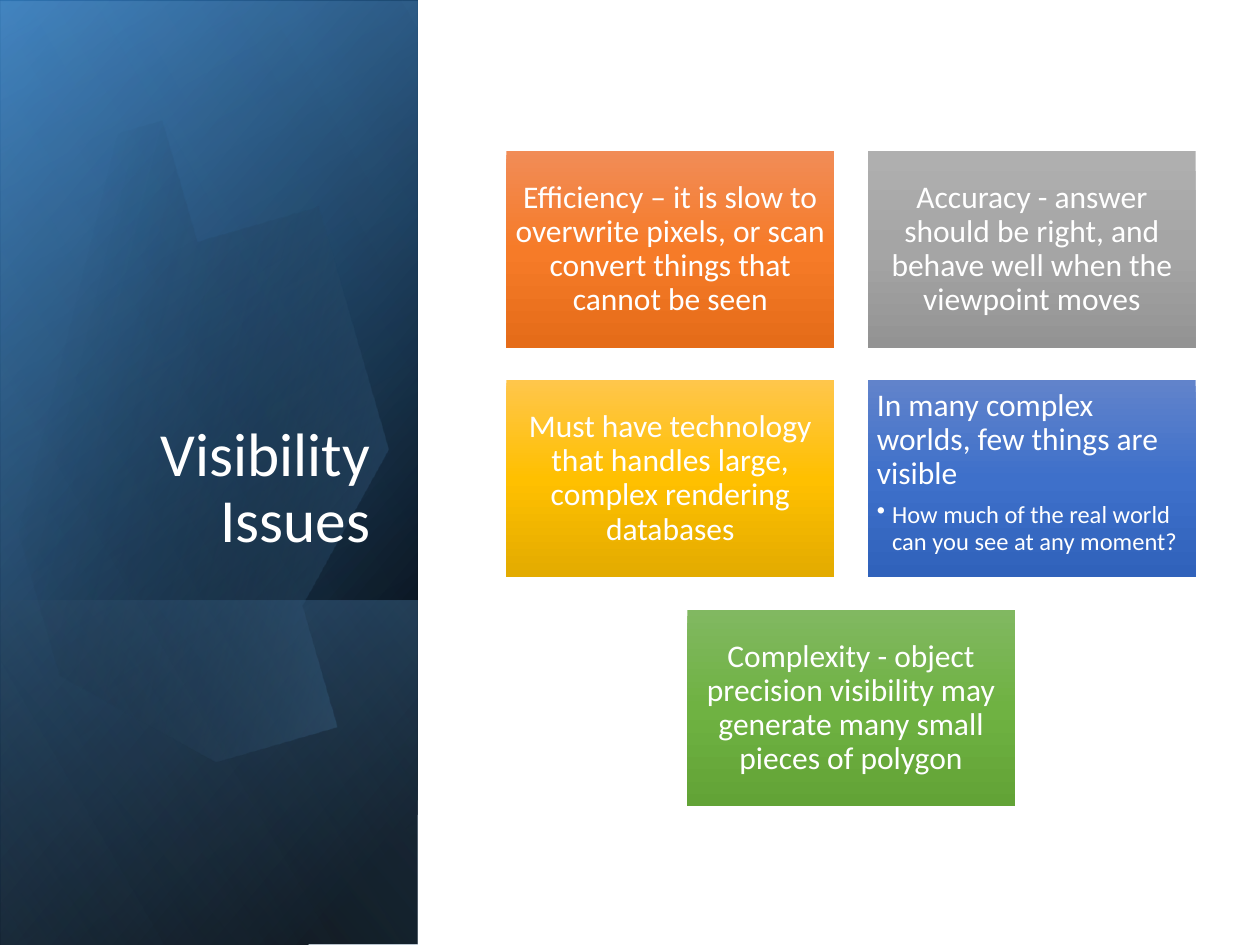
import math
from lxml import etree
from pptx import Presentation
from pptx.dml.color import RGBColor
from pptx.enum.shapes import MSO_SHAPE
from pptx.enum.text import MSO_ANCHOR, MSO_AUTO_SIZE, PP_ALIGN
from pptx.oxml.ns import qn
from pptx.util import Inches, Pt

RECTANGLE = MSO_SHAPE.RECTANGLE
TOP, MIDDLE, BOTTOM = MSO_ANCHOR.TOP, MSO_ANCHOR.MIDDLE, MSO_ANCHOR.BOTTOM
LEFT, CENTER, RIGHT = PP_ALIGN.LEFT, PP_ALIGN.CENTER, PP_ALIGN.RIGHT


def paint(shape, stops, angle):
    """Gradient from (position %, hex colour, opacity %) stops, without outline or shadow."""
    shape.shadow.inherit = False
    shape.line.fill.background()
    shape.fill.gradient()
    gradient = shape._element.spPr.find(qn("a:gradFill"))
    gradient.find(qn("a:lin")).set("ang", str(angle * 60000))
    stop_list = gradient.find(qn("a:gsLst"))
    for old_stop in list(stop_list):
        stop_list.remove(old_stop)
    for position, color, opacity in stops:
        stop = etree.SubElement(stop_list, qn("a:gs"), pos=str(position * 1000))
        tone = etree.SubElement(stop, qn("a:srgbClr"), val=color)
        if opacity < 100:
            etree.SubElement(tone, qn("a:alpha"), val=str(opacity * 1000))


def write(paragraph, text, size, align, space_after=0):
    paragraph.alignment = align
    paragraph.line_spacing = 0.9
    paragraph.space_before = Pt(0)
    paragraph.space_after = Pt(space_after)
    run = paragraph.add_run()
    run.text = text
    run.font.size = Pt(size)
    run.font.name = "Calibri"
    run.font.color.rgb = RGBColor.from_string("FFFFFF")


prs = Presentation()
prs.slide_width, prs.slide_height = Inches(10), Inches(7.5)
slide = prs.slides.add_slide(prs.slide_layouts[5])
shapes = slide.shapes

# Left panel: layered gradients, each turned a quarter and mirrored
FULL_PANEL = (-2.09, 2.09, 7.5, 3.31)
panel_layers = [
    (FULL_PANEL, [(8, "000000", 100), (100, "2E75B6", 100)], 50),
    ((-2.09, 2.11, 7.5, 3.31), [(0, "000000", 0), (99, "5B9BD5", 46)], 30),
    ((0.29, 4.48, 2.74, 3.31), [(2, "5B9BD5", 29), (100, "000000", 30)], 130),
    (FULL_PANEL, [(0, "000000", 0), (99, "9DC3E6", 11)], 120),
]
for place, stops, angle in panel_layers:
    layer = shapes.add_shape(RECTANGLE, *map(Inches, place))
    layer.rotation = 90
    layer._element.spPr.xfrm.set("flipH", "1")
    paint(layer, stops, angle)

# Tilted oval: Bezier pieces (two controls and an end; a straight side has only an end)
TILT = 343.9
CENTER_X, CENTER_Y = 1.19, 3.345
STEPS = 24
outline = [(0.96, 1.14)]
oval_pieces = [
    [(1.71, 1.22), (2.44, 1.92), (2.73, 2.9)],
    [(3.07, 4.12), (2.62, 5.31), (1.71, 5.57)],
    [(1.14, 5.74), (0.53, 5.5), (0.07, 5)],
    [(-0.03, 4.88)],
    [(-0.25, 1.66)],
    [(-0.15, 1.54)],
    [(0.02, 1.37), (0.22, 1.25), (0.45, 1.18)],
    [(0.62, 1.13), (0.79, 1.12), (0.96, 1.14)],
]
for piece in oval_pieces:
    if len(piece) == 1:
        outline += piece
        continue
    controls = [outline[-1]] + piece
    for step in range(1, STEPS + 1):
        t = step / STEPS
        weights = [math.comb(3, i) * t**i * (1 - t) ** (3 - i) for i in range(4)]
        outline.append(tuple(sum(w * c[axis] for w, c in zip(weights, controls))
                             for axis in (0, 1)))

# The outline is turned back here, and the tilt is then set on the shape
cosine, sine = math.cos(math.radians(-TILT)), math.sin(math.radians(-TILT))
upright = [(CENTER_X + (x - CENTER_X) * cosine - (y - CENTER_Y) * sine,
            CENTER_Y + (x - CENTER_X) * sine + (y - CENTER_Y) * cosine)
           for x, y in outline]
builder = shapes.build_freeform(*upright[0], scale=Inches(1))
builder.add_line_segments(upright[1:], close=True)
oval = builder.convert_to_shape()
oval.rotation = TILT
paint(oval, [(29, "000000", 0), (100, "5B9BD5", 43)], 30)
layer._element.addprevious(oval._element)

# Title, brought in front of the panel
title = shapes.title
layer._element.addnext(title._element)
title.left, title.top, title.width, title.height = map(Inches, (0.48, 1.84, 2.56, 2.62))
title.text_frame.word_wrap = True
title.text_frame.auto_size = MSO_AUTO_SIZE.NONE
title.text_frame.vertical_anchor = BOTTOM
write(title.text_frame.paragraphs[0], "Visibility Issues", 35, RIGHT)

# Issue cards: two columns, the last card centred below
CARD_W, CARD_H, GAP = 2.6, 1.56, 0.26
issues = [
    (0, 0, ("F18C57", "F67B28", "E56C19"),
     "Efficiency – it is slow to overwrite pixels, or scan convert things that cannot be seen", None),
    (1, 0, ("AFAFAF", "A5A5A5", "939393"),
     "Accuracy - answer should be right, and behave well when the viewpoint moves", None),
    (0, 1, ("FFC64B", "FFC000", "E3AB00"),
     "Must have technology that handles large, complex rendering databases", None),
    (1, 1, ("6183CB", "3E70CA", "3062BB"),
     "In many complex worlds, few things are visible",
     "How much of the real world can you see at any moment?"),
    (0.5, 2, ("81B861", "6FB242", "62A336"),
     "Complexity - object precision visibility may generate many small pieces of polygon", None),
]
for column, row, tones, issue, detail in issues:
    card = shapes.add_shape(RECTANGLE, Inches(4.02 + column * (CARD_W + GAP + 0.01)),
                            Inches(1.2 + row * (CARD_H + GAP)), Inches(CARD_W), Inches(CARD_H))
    paint(card, [(pos, tone, 100) for pos, tone in zip((0, 50, 100), tones)], 90)
    frame = card.text_frame
    frame.word_wrap = True
    frame.margin_left = frame.margin_right = Inches(0.07)
    frame.margin_top = frame.margin_bottom = Inches(0.07)
    frame.vertical_anchor = TOP if detail else MIDDLE
    write(frame.paragraphs[0], issue, 18, LEFT if detail else CENTER, 6.3)
    if detail:
        point = frame.add_paragraph()
        point.level = 1
        write(point, detail, 14, LEFT, 2.1)
        properties = point._p.get_or_add_pPr()
        properties.set("marL", str(Inches(0.12)))
        properties.set("indent", str(Inches(-0.12)))
        etree.SubElement(properties, qn("a:buChar"), char="•")

prs.save("out.pptx")
